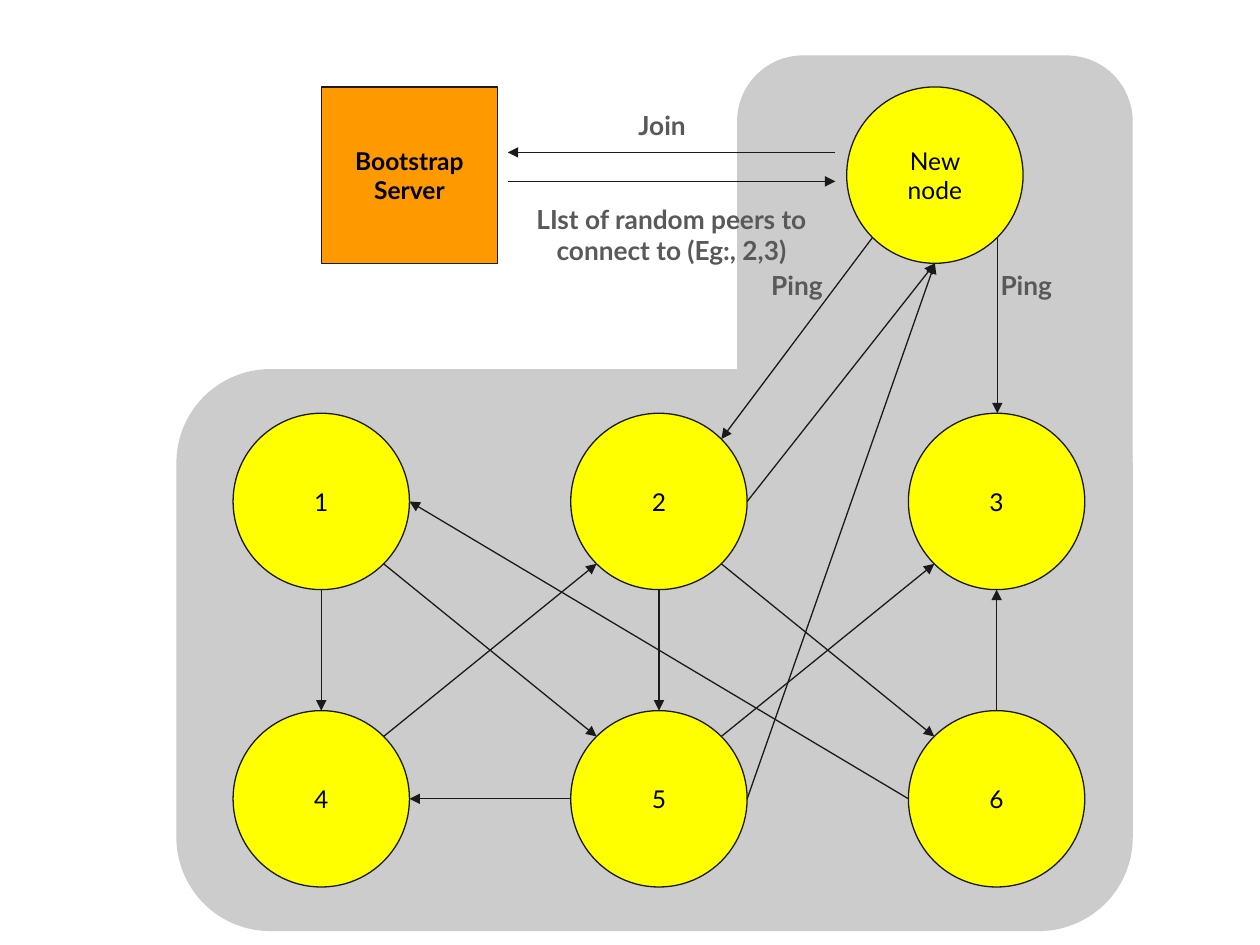
from dataclasses import dataclass
from math import sqrt

from lxml import etree
from pptx import Presentation
from pptx import util as u
from pptx.dml.color import RGBColor
from pptx.enum import shapes, text
from pptx.oxml.ns import qn


@dataclass(frozen=True)
class Theme:
    font: str = "Lato"
    node_size: int = 14
    label_size: int = 15
    line_width: float = 0.75
    region: str = "CCCCCC"
    server: str = "FF9900"
    node: str = "FFFF00"
    line: str = "1A1A1A"
    ink: str = "000000"
    label: str = "595959"


THEME = Theme()

# Peer grid, in inches
DIAMETER = 1.4
GRID_LEFT, GRID_TOP = 1.85, 3.28
COLUMN_STEP, ROW_STEP = 2.68, 2.36
TOP_ROW = 0.69
SERVER = (2.55, TOP_ROW)
NODES = {str(i + 1): (GRID_LEFT + i % 3 * COLUMN_STEP, GRID_TOP + i // 3 * ROW_STEP)
         for i in range(6)}
NODES["New node"] = (6.72, TOP_ROW)

# Unit directions from a circle's centre to its connection sites
DIAGONAL = sqrt(0.5)
SITES = {"n": (0, -1), "s": (0, 1), "w": (-1, 0), "e": (1, 0),
         "nw": (-DIAGONAL, -DIAGONAL), "ne": (DIAGONAL, -DIAGONAL),
         "sw": (-DIAGONAL, DIAGONAL), "se": (DIAGONAL, DIAGONAL)}

# Start node, start site, end node, end site
LINKS = [
    ("1", "se", "5", "nw"), ("5", "ne", "3", "sw"), ("2", "s", "5", "n"),
    ("5", "w", "4", "e"), ("4", "ne", "2", "sw"), ("2", "se", "6", "nw"),
    ("6", "n", "3", "s"), ("6", "w", "1", "e"), ("1", "s", "4", "n"),
    ("New node", "sw", "2", "ne"), ("5", "e", "New node", "s"),
    ("2", "e", "New node", "s"),
]

# Join exchange between the server and the new node
EXCHANGE_LEFT, EXCHANGE_RIGHT = 4.03, 6.63
JOIN_Y, REPLY_Y = 1.21, 1.44
LABELS = [
    ("Join", 4.85, 0.77, 0.81, 0.45),
    ("LIst of random peers to connect to (Eg:, 2,3)",
     EXCHANGE_LEFT, 1.51, EXCHANGE_RIGHT - EXCHANGE_LEFT, 0.71),
    ("Ping", 7.74, 2.04, 0.81, 0.45),
    ("Ping", 5.92, 2.04, 0.81, 0.45),
]


def rgb(value):
    return RGBColor.from_string(value)


def write(shape, words, size, color, bold=False, anchor=text.MSO_ANCHOR.MIDDLE):
    frame = shape.text_frame
    frame.word_wrap = True
    frame.vertical_anchor = anchor
    frame.margin_left = frame.margin_right = u.Inches(0.1)
    frame.margin_top = frame.margin_bottom = u.Inches(0.1)
    paragraph = frame.paragraphs[0]
    paragraph.text = words
    paragraph.alignment = text.PP_ALIGN.CENTER
    font = paragraph.font
    font.name, font.size, font.bold = THEME.font, u.Pt(size), bold
    font.color.rgb = rgb(color)


def add_block(slide, preset, box, fill):
    shape = slide.shapes.add_shape(preset, *map(u.Inches, box))
    shape.shadow.inherit = False
    shape.fill.solid()
    shape.fill.fore_color.rgb = rgb(fill)
    shape.line.fill.background()
    return shape


def style_line(line):
    line.color.rgb = rgb(THEME.line)
    line.width = u.Pt(THEME.line_width)


def add_region(slide, *box):
    region = add_block(slide, shapes.MSO_SHAPE.ROUNDED_RECTANGLE, box, THEME.region)
    region.adjustments[0] = 0.167


def add_node(slide, preset, corner, words, fill, bold=False):
    node = add_block(slide, preset, (*corner, DIAMETER, DIAMETER), fill)
    style_line(node.line)
    write(node, words, THEME.node_size, THEME.ink, bold)


def add_arrow(slide, start, end):
    arrow = slide.shapes.add_connector(
        shapes.MSO_CONNECTOR.STRAIGHT, *map(u.Inches, (*start, *end)))
    style_line(arrow.line)
    etree.SubElement(arrow.line._get_or_add_ln(), qn("a:tailEnd"), type="triangle")
    etree.SubElement(arrow._element.spPr, qn("a:effectLst"))


def add_label(slide, words, *box):
    label = slide.shapes.add_textbox(*map(u.Inches, box))
    write(label, words, THEME.label_size, THEME.label, True, text.MSO_ANCHOR.TOP)
    label.text_frame.auto_size = text.MSO_AUTO_SIZE.SHAPE_TO_FIT_TEXT


def site(name, direction):
    """Point on the rim of a node in the given compass direction."""
    radius = DIAMETER / 2
    return tuple(corner + radius * (1 + unit)
                 for corner, unit in zip(NODES[name], SITES[direction]))


def main():
    presentation = Presentation()
    presentation.slide_width, presentation.slide_height = u.Inches(10), u.Inches(7.5)
    slide = presentation.slides.add_slide(presentation.slide_layouts[6])

    # Network area
    add_region(slide, 5.85, 0.44, 3.14, 3.67)
    add_region(slide, 1.4, 2.93, 7.59, 4.46)

    # Server and peers
    add_node(slide, shapes.MSO_SHAPE.RECTANGLE, SERVER, "Bootstrap Server",
             THEME.server, bold=True)
    for name, corner in NODES.items():
        add_node(slide, shapes.MSO_SHAPE.OVAL, corner, name, THEME.node)

    # Links between peers
    for start, start_site, end, end_site in LINKS:
        add_arrow(slide, site(start, start_site), site(end, end_site))
    ping_start = site("New node", "se")
    add_arrow(slide, ping_start, (ping_start[0], NODES["3"][1]))

    # Join request and reply
    add_arrow(slide, (EXCHANGE_RIGHT, JOIN_Y), (EXCHANGE_LEFT, JOIN_Y))
    add_arrow(slide, (EXCHANGE_LEFT, REPLY_Y), (EXCHANGE_RIGHT, REPLY_Y))
    for label in LABELS:
        add_label(slide, *label)

    presentation.save("out.pptx")


if __name__ == "__main__":
    main()
